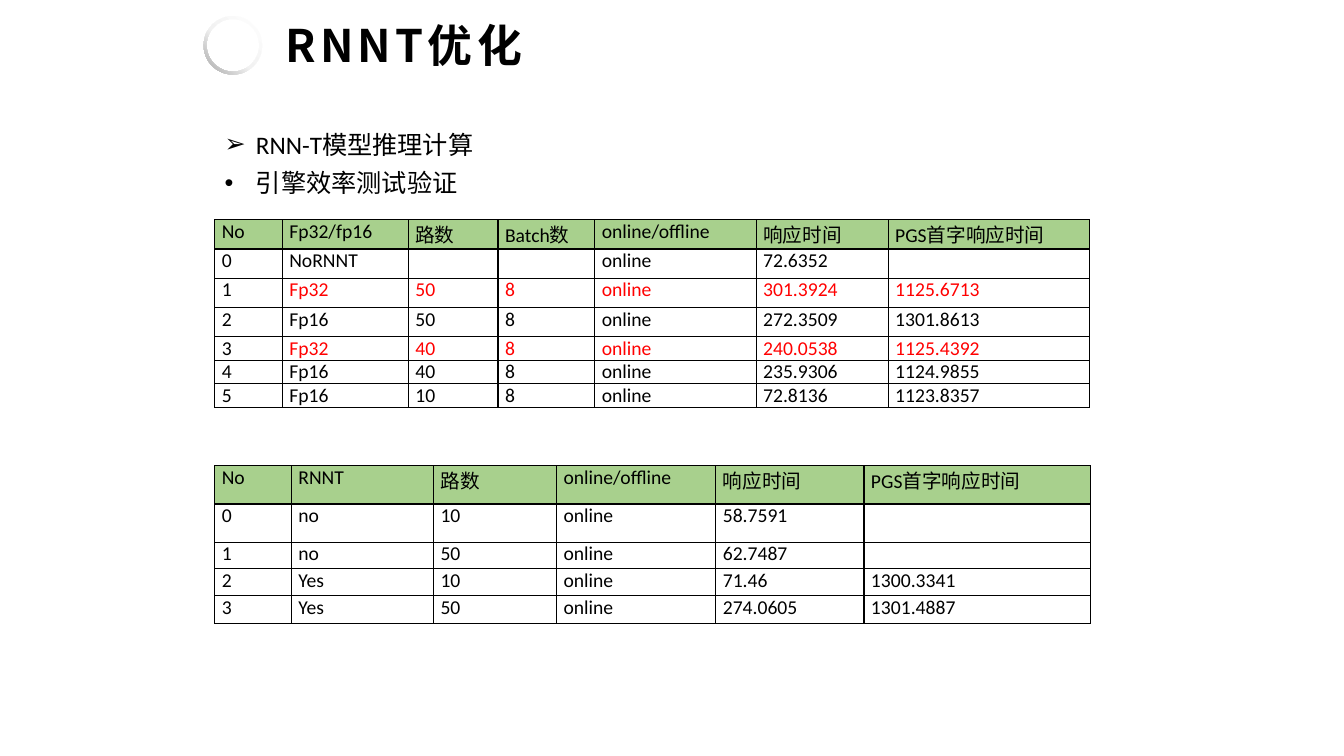
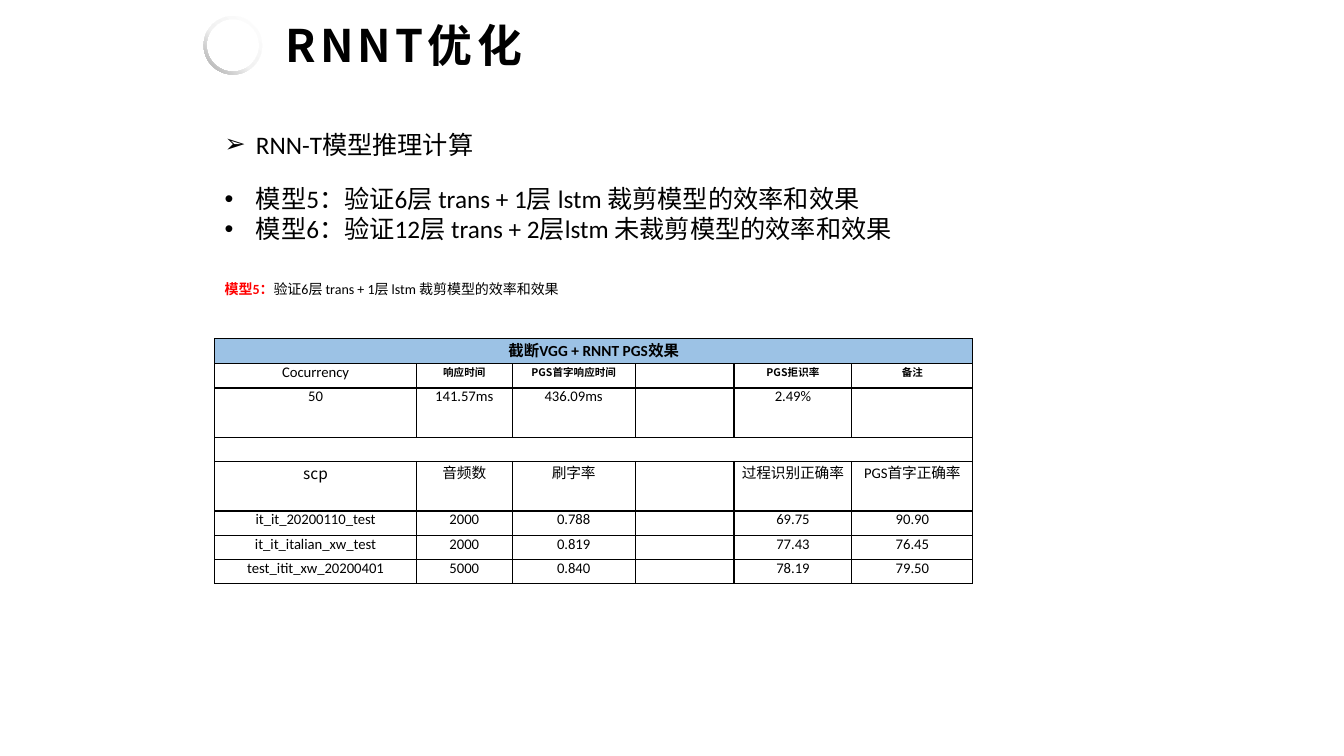
from lxml import etree
from pptx import Presentation
from pptx.dml.color import RGBColor
from pptx.enum.shapes import MSO_SHAPE
from pptx.enum.text import MSO_ANCHOR, MSO_AUTO_SIZE, PP_ALIGN
from pptx.oxml import parse_xml
from pptx.oxml.ns import nsdecls, qn
from pptx.util import Inches, Pt

BLACK = RGBColor(0, 0, 0)
RED = RGBColor(0xFF, 0, 0)
GREEN = RGBColor(0xA8, 0xD0, 0x8D)
BLUE = RGBColor(0x9C, 0xC2, 0xE5)
LATIN, HAN = "Calibri", "Noto Sans CJK SC"
DONUT = MSO_SHAPE.DONUT
MIDDLE = MSO_ANCHOR.MIDDLE
FIXED = MSO_AUTO_SIZE.NONE
LEFT, CENTER, JUST = PP_ALIGN.LEFT, PP_ALIGN.CENTER, PP_ALIGN.JUSTIFY
EDGE = 2.13  # shared left edge of text and tables
RING = [(0, "FFFFFF"), (55, "F2F2F2"), (100, "A6A6A6")]


def write(para, text, size, color=BLACK, **form):
    """Add a run with its font; an empty text only sets the line height."""
    if not text:
        etree.SubElement(para._p, qn("a:endParaRPr"), sz=str(int(size * 100)))
        return None
    run = para.add_run()
    run.text = text
    for key, val in {"name": LATIN, "size": Pt(size), "bold": False, **form}.items():
        setattr(run.font, key, val)
    run.font.color.rgb = color
    props = run.font._element
    etree.SubElement(props, qn("a:ea"), typeface=HAN)
    return props


def add_grid(slide, top, cols, rows, data, fill, align, base, looks):
    """Add a bordered table; looks are keyed by row or by (row, column)."""
    frame = slide.shapes.add_table(len(rows), len(cols), Inches(EDGE), Inches(top),
                                   Inches(sum(cols)), Inches(sum(rows)))
    table = frame.table
    table.first_row = table.horz_banding = False
    for col, width in zip(table.columns, cols):
        col.width = Inches(width)
    for r, (line, high) in enumerate(zip(data, rows)):
        table.rows[r].height = Inches(high)
        for c in range(len(cols)):
            cell = table.cell(r, c)
            cell.margin_left = cell.margin_right = Inches(0.07)
            cell.margin_top = cell.margin_bottom = 0
            if r == 0:
                cell.fill.solid()
                cell.fill.fore_color.rgb = fill
            else:
                cell.fill.background()
            for i, side in enumerate(("lnL", "lnR", "lnT", "lnB")):
                cell._tc.tcPr.insert(i, parse_xml(
                    f'<a:{side} {nsdecls("a")} w="12700"><a:solidFill>'
                    f'<a:srgbClr val="{BLACK}"/></a:solidFill></a:{side}>'))
            para = cell.text_frame.paragraphs[0]
            para.alignment = align
            text = line[c] if c < len(line) else ""
            write(para, text, **{**base, **looks.get(r, {}), **looks.get((r, c), {})})
        if len(line) < 2:  # a lone entry spans the whole row
            table.cell(r, 0).merge(table.cell(r, len(cols) - 1))


deck = Presentation()
deck.slide_width, deck.slide_height = Inches(13.33), Inches(7.5)

# Bulleted boxes for each slide: top, width, height, space before, align, lines
HEAD = ("➢", "RNN-T模型推理计算")
LISTS = [
    [(1.23, 3.46, 0.79, 6, LEFT, [HEAD, ("•", "引擎效率测试验证")])],
    [(1.23, 3.46, 0.4, 6, LEFT, [HEAD]),
     (1.77, 7.3, 0.71, 0, JUST, [
         ("•", "模型5：验证6层 trans + 1层 lstm 裁剪模型的效率和效果"),
         ("•", "模型6：验证12层 trans + 2层lstm 未裁剪模型的效率和效果")])],
]

for boxes in LISTS:
    slide = deck.slides.add_slide(deck.slide_layouts[5])

    # Ring beside the title
    ring = slide.shapes.add_shape(DONUT, Inches(2.02), Inches(0.16),
                                  Inches(0.58), Inches(0.58))
    ring.adjustments[0] = 0.05
    ring.shadow.inherit = False
    ring.line.fill.background()
    ring.fill.gradient()
    grad = ring._element.spPr.find(qn("a:gradFill"))
    stops = "".join(f'<a:gs pos="{pos * 1000}"><a:srgbClr val="{tone}"/></a:gs>'
                    for pos, tone in RING)
    grad.getparent().replace(grad, parse_xml(
        f'<a:gradFill {nsdecls("a")}><a:gsLst>{stops}</a:gsLst>'
        '<a:lin ang="8100000" scaled="0"/></a:gradFill>'))

    # Title
    title = slide.shapes.title
    title.left, title.top = Inches(2.73), Inches(0.16)
    title.width, title.height = Inches(2.71), Inches(0.64)
    frame = title.text_frame
    frame.word_wrap, frame.auto_size = False, FIXED
    frame.vertical_anchor = MIDDLE
    para = frame.paragraphs[0]
    para.alignment, para.line_spacing = LEFT, 0.9
    write(para, "RNNT优化", 32, name=HAN, bold=True).set("spc", "300")

    # Bulleted text
    for top, width, high, gap, align, lines in boxes:
        frame = slide.shapes.add_textbox(Inches(EDGE), Inches(top),
                                         Inches(width), Inches(high)).text_frame
        frame.word_wrap = True
        for i, (mark, text) in enumerate(lines):
            para = frame.add_paragraph() if i else frame.paragraphs[0]
            para.alignment, para.space_before = align, Pt(gap)
            props = para._p.pPr
            props.set("marL", str(Inches(0.31)))
            props.set("indent", str(-Inches(0.31)))
            etree.SubElement(props, qn("a:buFont"), typeface="Arial")
            etree.SubElement(props, qn("a:buChar"), char=mark)
            write(para, text, 18)

first, second = deck.slides

# Slide 1: engine timings by precision
red = {"color": RED}
black = {"color": BLACK}
add_grid(
    first, 2.18, [0.67, 1.25, 0.89, 0.96, 1.6, 1.31, 2],
    [0.29] * 4 + [0.2, 0.21, 0.2],
    [["No", "Fp32/fp16", "路数", "Batch数", "online/offline", "响应时间", "PGS首字响应时间"],
     ["0", "NoRNNT", "", "", "online", "72.6352", ""],
     ["1", "Fp32", "50", "8", "online", "301.3924", "1125.6713"],
     ["2", "Fp16", "50", "8", "online", "272.3509", "1301.8613"],
     ["3", "Fp32", "40", "8", "online", "240.0538", "1125.4392"],
     ["4", "Fp16", "40", "8", "online", "235.9306", "1124.9855"],
     ["5", "Fp16", "10", "8", "online", "72.8136", "1123.8357"]],
    GREEN, JUST, {"size": 14}, {2: red, 4: red, (2, 0): black, (4, 0): black})

# Slide 1: timings with and without RNNT
add_grid(
    first, 4.62, [0.76, 1.41, 1.22, 1.58, 1.47, 2.25],
    [0.38, 0.38, 0.26, 0.27, 0.28],
    [["No", "RNNT", "路数", "online/offline", "响应时间", "PGS首字响应时间"],
     ["0", "no", "10", "online", "58.7591", ""],
     ["1", "no", "50", "online", "62.7487", ""],
     ["2", "Yes", "10", "online", "71.46", "1300.3341"],
     ["3", "Yes", "50", "online", "274.0605", "1301.4887"]],
    GREEN, JUST, {"size": 14}, {})

# Slide 2: results of the cut model
add_grid(
    second, 3.36, [2, 0.95, 1.22, 0.98, 1.17, 1.2],
    [0.25, 0.24, 0.49, 0.24, 0.49] + [0.24] * 3,
    [["截断VGG + RNNT PGS效果"],
     ["Cocurrency", "响应时间", "PGS首字响应时间", "", "PGS拒识率", "备注"],
     ["50", "141.57ms", "436.09ms", "", "2.49%", ""],
     [],
     ["scp", "音频数", "刷字率", "", "过程识别正确率", "PGS首字正确率"],
     ["it_it_20200110_test", "2000", "0.788", "", "69.75", "90.90"],
     ["it_it_italian_xw_test", "2000", "0.819", "", "77.43", "76.45"],
     ["test_itit_xw_20200401", "5000", "0.840", "", "78.19", "79.50"]],
    BLUE, CENTER, {"size": 10.5},
    {0: {"size": 11, "bold": True},
     1: {"size": 7.5, "bold": True, "name": HAN},
     (1, 0): {"size": 10.5, "bold": False, "name": LATIN},
     (4, 0): {"size": 11, "name": HAN}})

# Slide 2: caption above the table
frame = second.shapes.add_textbox(Inches(EDGE), Inches(2.73),
                                  Inches(3.57), Inches(0.27)).text_frame
frame.word_wrap, frame.auto_size = True, FIXED
frame.vertical_anchor = MIDDLE
para = frame.paragraphs[0]
write(para, "模型5：", 10, RED, bold=True)
write(para, "验证6层 trans + 1层 lstm 裁剪模型的效率和效果", 10)

deck.save("out.pptx")
